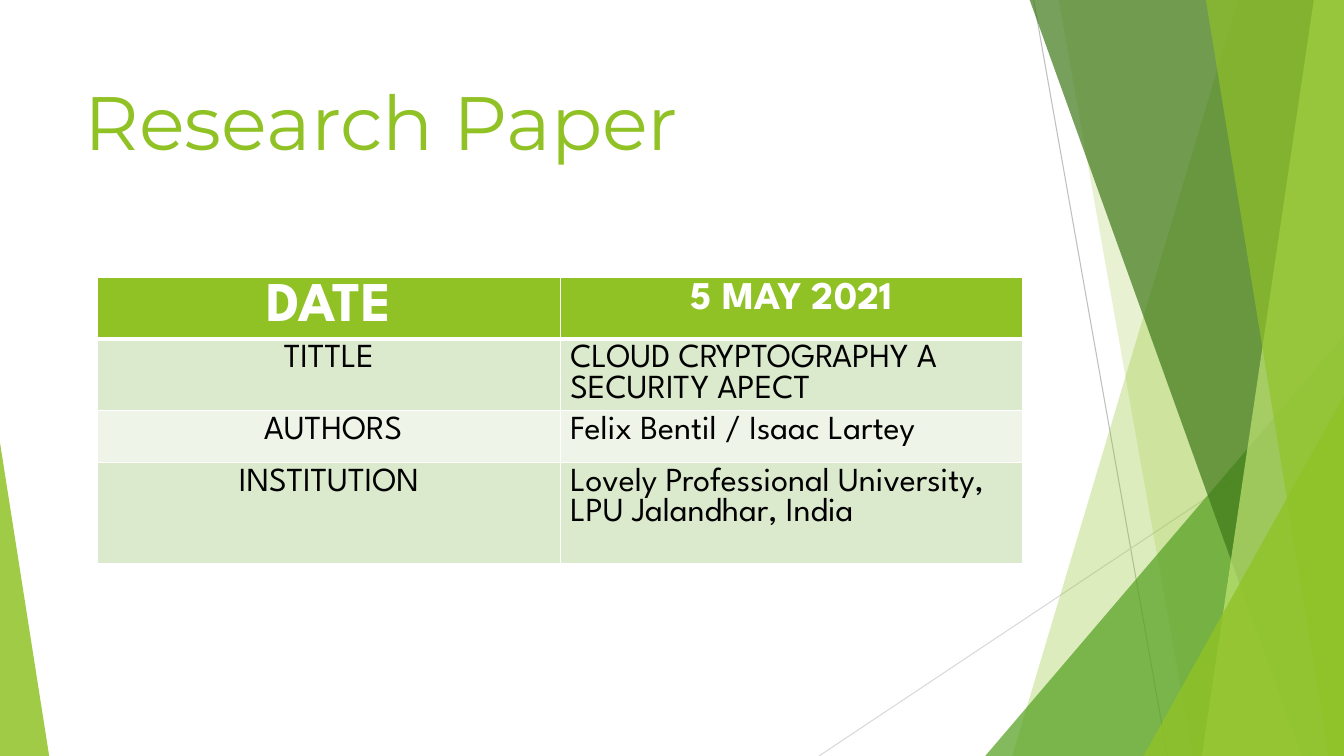
import pptx
import pptx.dml.color
import pptx.enum.shapes
import pptx.enum.text
import pptx.oxml
import pptx.oxml.ns
import pptx.util

Cm = pptx.util.Cm
Pt = pptx.util.Pt
RGBColor = pptx.dml.color.RGBColor
Align = pptx.enum.text.PP_ALIGN
Anchor = pptx.enum.text.MSO_ANCHOR
qn = pptx.oxml.ns.qn

LIME = RGBColor(0x90, 0xC2, 0x26)
GREEN = RGBColor(0x54, 0xA0, 0x21)
FOREST = RGBColor(0x3F, 0x78, 0x19)
PALE_LIME = RGBColor(0xC0, 0xE4, 0x74)
BAND_DARK = RGBColor(0xDB, 0xE9, 0xCD)
BAND_LIGHT = RGBColor(0xEE, 0xF4, 0xE8)
SILVER = RGBColor(0xBF, 0xBF, 0xBF)
MIST = RGBColor(0xD9, 0xD9, 0xD9)
WHITE = RGBColor(0xFF, 0xFF, 0xFF)
BLACK = RGBColor(0, 0, 0)

WIDTH, HEIGHT = 33.87, 19.05


def drawing_element(tag, attributes="", content=""):
    """Return a DrawingML element with the given attributes and content."""
    namespace = pptx.oxml.ns.nsuri("a")
    return pptx.oxml.parse_xml(
        f'<a:{tag} xmlns:a="{namespace}" {attributes}>{content}</a:{tag}>')


def paint(facet, color, opacity):
    """Fill a facet with a translucent colour, without outline or shadow."""
    facet.shadow.inherit = False
    facet.line.fill.background()
    facet.fill.solid()
    facet.fill.fore_color.rgb = color
    tint = facet._element.spPr.find(qn("a:solidFill")).find(qn("a:srgbClr"))
    tint.append(drawing_element("alpha", f'val="{opacity * 1000}"'))


def add_ray(slide, start, end, color):
    """Draw a thin line between two points given in centimetres."""
    ray = slide.shapes.add_connector(
        pptx.enum.shapes.MSO_CONNECTOR.STRAIGHT, *map(Cm, start + end))
    ray.line.color.rgb = color
    ray.line.width = Pt(0.75)
    ray._element.spPr.append(drawing_element("effectLst"))


def add_ribbon(slide, box, top_reach, bottom_reach, color, opacity):
    """Draw a slanted ribbon that ends at the right edge of the box."""
    left, top, width, height = box
    right, bottom = left + width, top + height
    builder = slide.shapes.build_freeform(Cm(right - top_reach), Cm(top))
    builder.add_line_segments([
        (Cm(right), Cm(top)), (Cm(right), Cm(bottom)),
        (Cm(right - bottom_reach), Cm(bottom))])
    paint(builder.convert_to_shape(), color, opacity)


def add_wedge(slide, box, apex, color, opacity):
    """Draw a triangle filling the box, its apex at a fraction of the width."""
    wedge = slide.shapes.add_shape(
        pptx.enum.shapes.MSO_SHAPE.ISOSCELES_TRIANGLE, *map(Cm, box))
    wedge.adjustments[0] = apex
    paint(wedge, color, opacity)


def add_facets(slide, box):
    """Layer the rays, ribbons and corner wedges on the right of the box."""
    left, top, width, height = box
    right, bottom = left + width, top + height

    def corner(reach, rise):
        """Return the box of a wedge in the bottom right corner."""
        return right - reach, bottom - rise, reach, rise

    add_ray(slide, (right - 7.82, top), (right - 4.45, bottom), SILVER)
    add_ray(slide, (right, top + 10.24), (right - 13.23, bottom), MIST)
    add_ribbon(slide, box, 2.67, 8.36, LIME, 30)
    add_ribbon(slide, box, 7.19, 3.81, LIME, 20)
    add_wedge(slide, corner(9.04, 10.59), 1, GREEN, 72)
    add_ribbon(slide, box, 7.92, 1.07, FOREST, 70)
    add_ribbon(slide, box, 0.76, 3.58, PALE_LIME, 70)
    add_ribbon(slide, box, 3.48, 0.38, LIME, 65)
    add_wedge(slide, corner(5.05, 9.07), 1, LIME, 80)


def write(frame, words, font, size, color, align, bold=False):
    """Write one formatted run into the first paragraph of a frame."""
    paragraph = frame.paragraphs[0]
    paragraph.alignment = align
    run = paragraph.add_run()
    run.text = words
    run.font.name = font
    run.font.size = Pt(size)
    run.font.color.rgb = color
    run.font.bold = bold


def add_heading(slide, box):
    """Place and format the slide title in the box."""
    heading = slide.shapes.title
    heading.left, heading.top, heading.width, heading.height = map(Cm, box)
    frame = heading.text_frame
    frame.word_wrap = True
    frame.auto_size = pptx.enum.text.MSO_AUTO_SIZE.NONE
    frame.vertical_anchor = Anchor.TOP
    frame.margin_top = Cm(0.23)
    write(frame, "Research Paper", "Montserrat", 54, LIME, Align.LEFT)


def rule_cell(cell, bottom_width):
    """Give a cell white borders, with its own width for the bottom one."""
    properties = cell._tc.get_or_add_tcPr()
    white_fill = f'<a:solidFill><a:srgbClr val="{WHITE}"/></a:solidFill>'
    for side, points in (("L", 1), ("R", 1), ("T", 1), ("B", bottom_width)):
        properties.append(
            drawing_element(f"ln{side}", f'w="{points * 12700}"', white_fill))


def add_paper_table(slide, box):
    """Build the table of paper details in the box."""
    details = [
        ("DATE", "5 MAY 2021", 1.53),
        ("TITTLE", "CLOUD CRYPTOGRAPHY A SECURITY APECT", 1.81),
        (" AUTHORS", "Felix Bentil / Isaac Lartey", 1.3),
        ("INSTITUTION", "Lovely Professional University, LPU Jalandhar, India", 2.54),
    ]
    table = slide.shapes.add_table(len(details), 2, *map(Cm, box)).table
    for column in table.columns:
        column.width = Cm(box[2] / 2)
    for row, (label, value, height) in enumerate(details):
        table.rows[row].height = Cm(height)
        header = row == 0
        band = LIME if header else (BAND_LIGHT, BAND_DARK)[row % 2]
        for column, words in enumerate((label, value)):
            cell = table.cell(row, column)
            rule_cell(cell, 3 if header else 1)
            cell.fill.solid()
            cell.fill.fore_color.rgb = band
            size = (40, 28)[column] if header else 24
            align = Align.CENTER if header or column == 0 else Align.LEFT
            write(cell.text_frame, words, "League Spartan", size,
                  WHITE if header else BLACK, align, header)


def build():
    """Assemble the slide and save it."""
    deck = pptx.Presentation()
    deck.slide_width, deck.slide_height = Cm(WIDTH), Cm(HEIGHT)
    slide = deck.slides.add_slide(deck.slide_layouts[5])
    add_facets(slide, (0, 0, WIDTH, HEIGHT))
    add_wedge(slide, (0, HEIGHT - 7.9, 1.24, 7.9), 0, LIME, 85)
    add_heading(slide, (1.88, 1.65, 23.88, 3.66))
    add_paper_table(slide, (2.46, 6.99, 23.32, 7.18))
    deck.save("out.pptx")


build()
